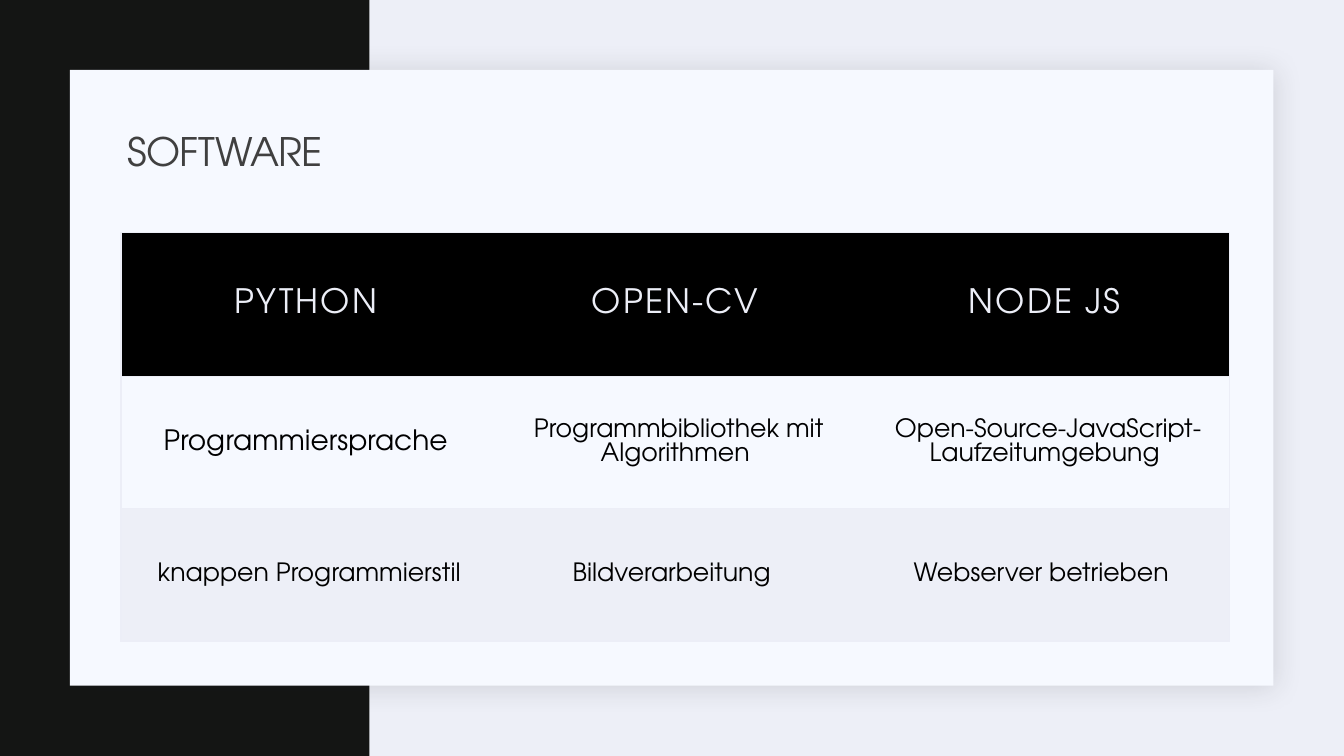
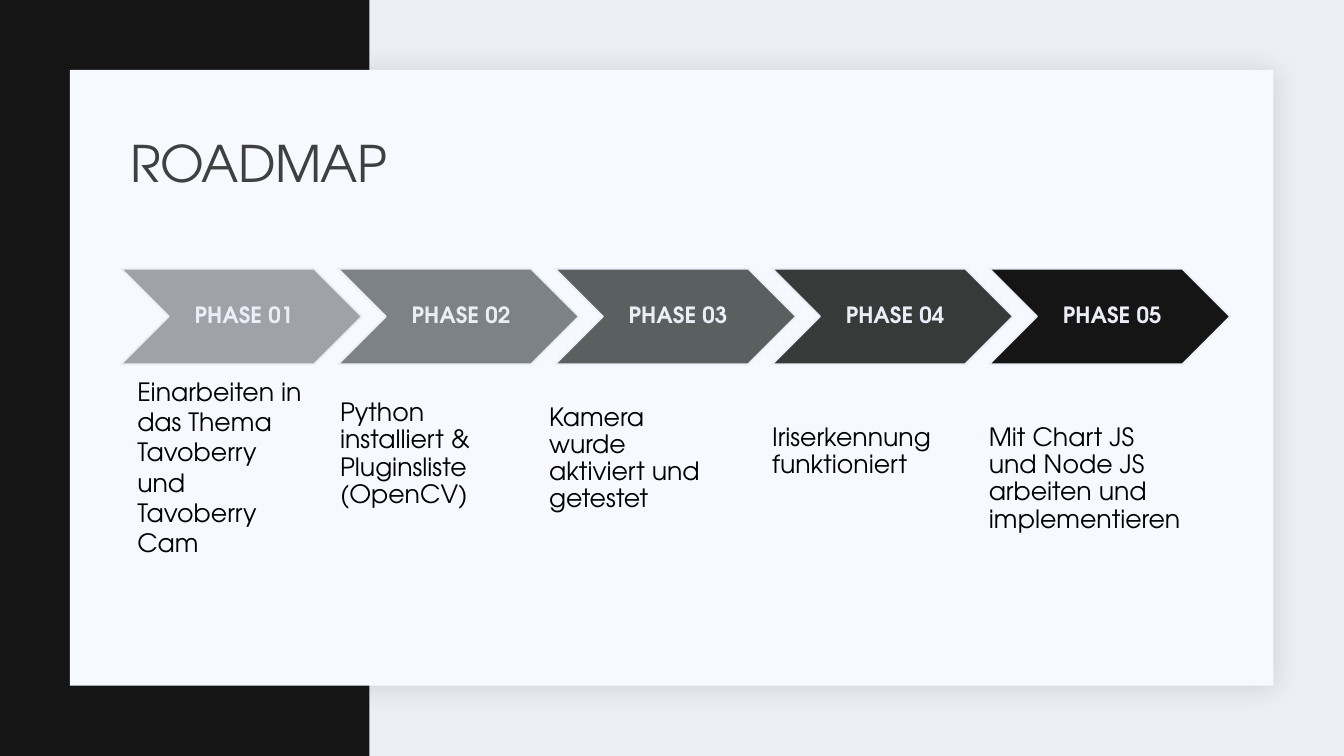
from lxml import etree
from pptx import Presentation, util as u
from pptx.dml.color import RGBColor
from pptx.enum import shapes, text
from pptx.oxml import ns

Cm = u.Cm

THEME = {
    "font": "TeX Gyre Adventor",
    "colour": {"background": "EDEFF7", "band": "141514", "panel": "F6F9FF",
               "title": "404040", "pale": "ECEEF7", "body": "000000",
               "shadow": "1F2125"},
    "phases": ["A1A2A9", "7C8286", "5A6060", "373A39", "141514"],
    "size": {"header": 24, "large": 20, "body": 18, "phase": 16},
}
COLOUR, SIZE = THEME["colour"], THEME["size"]

# Titles: wording, type size, box (left, top, width, height in cm)
SOFTWARE_TITLE = ("SOFTWARE", 28, (2.97, 3.05, 27.94, 1.63))
ROADMAP_TITLE = ("ROADMAP", 36, (3.05, 2.75, 27.94, 2.87))

SOFTWARE = [
    ["PYTHON", "OPEN-CV", "NODE JS"],
    ["Programmiersprache", "\u00a0Programmbibliothek mit Algorithmen",
     "\u00a0Open-Source-JavaScript-Laufzeitumgebung"],
    ["\u00a0knappen Programmierstil", "Bildverarbeitung\u00a0",
     "Webserver betrieben\u00a0"],
]
ROW_HEIGHTS = [3.63, 3.33, 3.33]
ROW_FILLS = [COLOUR["body"], COLOUR["panel"], COLOUR["background"]]
TABLE_LEFT, TABLE_TOP, COLUMN_WIDTH = 3.05, 5.86, 9.31

# Phases: wording, left and top of the text, right inset, line spacing
PHASES = [
    ("Einarbeiten in das Thema Tavoberry und Tavoberry Cam",
     3.46, 9.48, 0.51, 1.0),
    ("Python installiert & Pluginsliste (OpenCV)", 8.57, 10.08, 0, 0.9),
    ("Kamera wurde aktiviert und getestet", 13.84, 10.19, 0.51, 0.9),
    ("Iriserkennung funktioniert", 19.46, 10.7, 0.51, 0.9),
    ("Mit Chart JS und Node JS arbeiten und implementieren",
     24.92, 10.7, 0, 0.9),
]
CHEVRON_LEFT, CHEVRON_TOP, CHEVRON_STEP = 3.05, 6.77, 5.47
CHEVRON_WIDTH, CHEVRON_HEIGHT = 6.07, 2.41
LABEL_WIDTH = 3.63
NOTE_WIDTH, NOTE_HEIGHT = 4.86, 4.7


def rgb(value):
    """Turn a hex string into a colour."""
    return RGBColor.from_string(value)


def add_child(parent, tag, **attributes):
    """Append a DrawingML element and return it."""
    child = etree.SubElement(parent, ns.qn(tag))
    for name, value in attributes.items():
        child.set(name, str(value))
    return child


def write(tf, words, size, colour, align="LEFT", spacing=1.0, bold=False,
          tracking=0):
    """Put one formatted paragraph into a text frame."""
    p = tf.paragraphs[0]
    p.alignment = text.PP_ALIGN[align]
    p.line_spacing = spacing
    r = p.add_run()
    r.text = words
    formats = {"name": THEME["font"], "size": u.Pt(size), "bold": bold}
    for name, value in formats.items():
        setattr(r.font, name, value)
    r.font.color.rgb = rgb(colour)
    if tracking:
        r.font._element.set("spc", str(round(tracking * 100)))


def add_text(s, box, words, size, colour, insets, anchor="TOP", **style):
    """Add a wrapping text box; insets run left, top, right, bottom."""
    tf = s.shapes.add_textbox(*map(Cm, box)).text_frame
    formats = {"word_wrap": True, "vertical_anchor": text.MSO_ANCHOR[anchor]}
    for side, inset in zip(("left", "top", "right", "bottom"), insets):
        formats["margin_" + side] = Cm(inset)
    for name, value in formats.items():
        setattr(tf, name, value)
    write(tf, words, size, colour, **style)


def add_block(s, kind, box, fill, line=None):
    """Add a flat filled shape, outlined if a line colour is given."""
    sp = s.shapes.add_shape(shapes.MSO_SHAPE[kind], *map(Cm, box))
    sp.shadow.inherit = False
    sp.fill.solid()
    sp.fill.fore_color.rgb = rgb(fill)
    if line:
        sp.line.color.rgb = rgb(line)
        sp.line.width = u.Pt(1.25)
    else:
        sp.line.fill.background()
    return sp


def add_soft_shadow(sp):
    """Give a shape the wide, faint shadow of the panel."""
    effects = sp._element.spPr.find(ns.qn("a:effectLst"))
    shadow = add_child(effects, "a:outerShdw", blurRad=u.Pt(20), dist=u.Pt(2),
                       dir=45 * 60000, algn="ctr", rotWithShape=0)
    colour = add_child(shadow, "a:srgbClr", val=COLOUR["shadow"])
    add_child(colour, "a:alpha", val=15000)


def new_slide(prs, title):
    """Add a slide with background, band, panel and title."""
    s = prs.slides.add_slide(prs.slide_layouts[6])
    s.background.fill.solid()
    s.background.fill.fore_color.rgb = rgb(COLOUR["background"])
    add_block(s, "RECTANGLE", (0, 0, 9.31, 19.05), COLOUR["band"])
    panel = add_block(s, "RECTANGLE", (1.76, 1.76, 30.33, 15.52),
                      COLOUR["panel"])
    add_soft_shadow(panel)
    words, size, box = title
    add_text(s, box, words, size, COLOUR["title"], (0.25, 0.13, 0.25, 0.13),
             anchor="MIDDLE", spacing=0.9, tracking=-0.5)
    return s


def set_borders(cell, visible):
    """Draw the listed sides of a cell and clear the others."""
    tcPr = cell._tc.get_or_add_tcPr()
    for side in "LRTB":
        ln = add_child(tcPr, "a:ln" + side, w=u.Pt(1))
        if side in visible:
            fill = add_child(ln, "a:solidFill")
            add_child(fill, "a:srgbClr", val=COLOUR["pale"])
        else:
            add_child(ln, "a:noFill")


def add_software_table(s):
    """Add the software table with a dark header row."""
    rows, cols = len(SOFTWARE), len(SOFTWARE[0])
    table = s.shapes.add_table(
        rows, cols, Cm(TABLE_LEFT), Cm(TABLE_TOP),
        Cm(COLUMN_WIDTH * cols), Cm(sum(ROW_HEIGHTS))).table
    table.first_row = table.horz_banding = False
    for column in table.columns:
        column.width = Cm(COLUMN_WIDTH)
    cell_format = {"vertical_anchor": text.MSO_ANCHOR.MIDDLE}
    for side in ("left", "top", "right", "bottom"):
        cell_format["margin_" + side] = Cm(0.64)
    for i, words_in_row in enumerate(SOFTWARE):
        table.rows[i].height = Cm(ROW_HEIGHTS[i])
        for j, words in enumerate(words_in_row):
            cell = table.cell(i, j)
            for name, value in cell_format.items():
                setattr(cell, name, value)
            set_borders(cell, "TB" + "L" * (j == 0) + "R" * (j == cols - 1))
            cell.fill.solid()
            cell.fill.fore_color.rgb = rgb(ROW_FILLS[i])
            header = i == 0
            size = "header" if header else "large" if (i, j) == (1, 0) else "body"
            write(cell.text_frame, words, SIZE[size],
                  COLOUR["pale" if header else "body"], align="CENTER",
                  tracking=1.5 if header else 0)


def add_roadmap(s):
    """Add one chevron, label and note for each phase."""
    label_shift = (CHEVRON_WIDTH - LABEL_WIDTH) / 2
    for i, (note, note_left, note_top, inset, spacing) in enumerate(PHASES):
        left = CHEVRON_LEFT + i * CHEVRON_STEP
        add_block(s, "CHEVRON",
                  (left, CHEVRON_TOP, CHEVRON_WIDTH, CHEVRON_HEIGHT),
                  THEME["phases"][i], COLOUR["pale"])
        add_text(s, (left + label_shift, CHEVRON_TOP, LABEL_WIDTH,
                     CHEVRON_HEIGHT),
                 f"PHASE {i + 1:02}", SIZE["phase"], COLOUR["pale"],
                 (0.18, 0.05, 0.05, 0.05), anchor="MIDDLE", align="CENTER",
                 spacing=0.9, bold=True)
        add_text(s, (note_left, note_top, NOTE_WIDTH, NOTE_HEIGHT), note,
                 SIZE["body"], COLOUR["body"], (0, 0, inset, 0),
                 spacing=spacing)


def main():
    """Build and save the presentation."""
    prs = Presentation()
    prs.slide_width, prs.slide_height = Cm(33.87), Cm(19.05)
    add_software_table(new_slide(prs, SOFTWARE_TITLE))
    add_roadmap(new_slide(prs, ROADMAP_TITLE))
    prs.save("out.pptx")


main()
